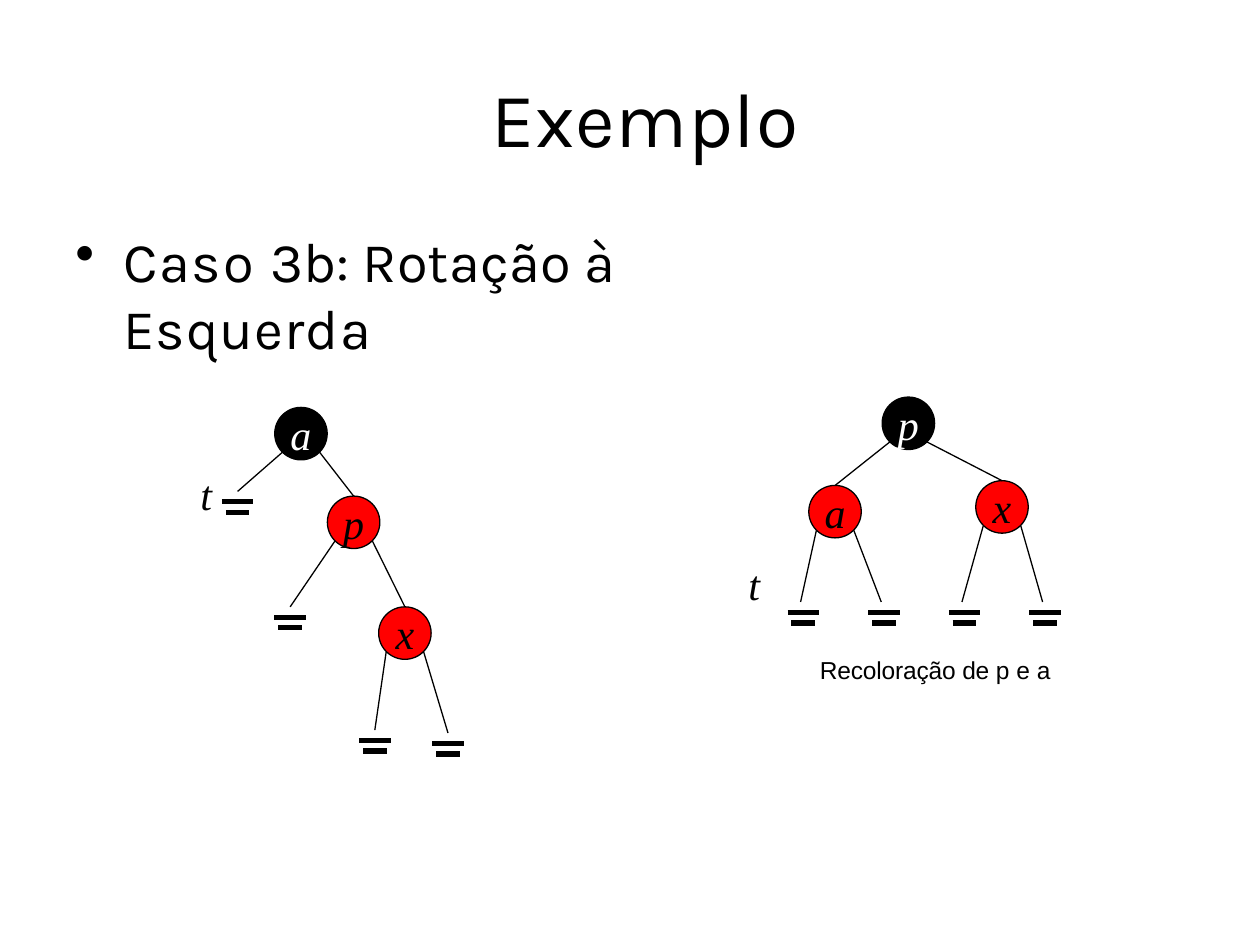
"""Build a slide showing a left rotation in a red-black tree."""
import pptx
import pptx.dml.color
import pptx.enum.shapes
import pptx.enum.text
import pptx.oxml
import pptx.oxml.ns
import pptx.util

Pt = pptx.util.Pt
BLACK, RED, WHITE = "000000", "FF0000", "FFFFFF"
SERIF = "Times New Roman"
RADIUS = 15
EDGE_OFFSET = 10.7
NIL_GAP = 6
NIL_BARS = [(18, 0), (13.5, 6)]

TEXTS = [
    {"at": (280.8, 40.3, 343, 55), "runs": [("Exemplo", 0.4)], "size": 44, "font": "Karla"},
    {"at": (42.5, 129.6, 450.7, 78), "size": 32, "font": "Karla", "bullet": True,
     "runs": [("Caso ", 1), ("3b: ", -0.1), ("Rotação ", 0.1), ("à ", 0.8), ("Esquerda", 0.6)]},
    {"at": (114.5, 267.8, 10, 29), "runs": [("t", 0)], "size": 24, "font": SERIF, "italic": True},
    {"at": (427.7, 319, 10, 29), "runs": [("t", 0)], "size": 24, "font": SERIF, "italic": True},
    {"at": (468.5, 374.4, 150, 18), "runs": [("Recoloração de ", -0.1), ("p e a", 0)],
     "size": 14, "font": "Arial"},
]

TREES = [
    {"nodes": {"a": (172, 247.8, BLACK), "p": (202.1, 298.5, RED), "x": (231.4, 361.8, RED)},
     "nils": {"a left": (135.8, 286.8), "p left": (165.8, 352.8),
              "x left": (214.2, 423.2), "x right": (256, 424.9)},
     "edges": [("a", -1, "a left"), ("a", 1, "p"), ("p", -1, "p left"), ("p", 1, "x"),
               ("x", -1, "x left"), ("x", 1, "x right")],
     "nil_shift": 0},
    {"nodes": {"p": (519.1, 241.9, BLACK), "a": (477.2, 292.4, RED), "x": (572.6, 289.7, RED)},
     "nils": {name: (459 + 46.1 * column, 350) for column, name in
              enumerate(["a left", "a right", "x left", "x right"])},
     "edges": [("p", -1, "a"), ("p", 1, "x"), ("a", -1, "a left"), ("a", 1, "a right"),
               ("x", -1, "x left"), ("x", 1, "x right")],
     "nil_shift": -1.5},
]


def color(value):
    return pptx.dml.color.RGBColor.from_string(value)


def format_run(run, size, font, fill, italic, spacing=0):
    run.font.size = Pt(size)
    run.font.name = font
    run.font.italic = italic
    run.font.color.rgb = color(fill)
    if spacing:
        run._r.get_or_add_rPr().set("spc", str(round(spacing * 100)))


def clear_margins(frame):
    frame.margin_left = frame.margin_right = frame.margin_top = frame.margin_bottom = 0


def add_text(slide, item):
    frame = slide.shapes.add_textbox(*map(Pt, item["at"])).text_frame
    clear_margins(frame)
    frame.word_wrap = True
    paragraph = frame.paragraphs[0]
    if item.get("bullet"):
        properties = paragraph._p.get_or_add_pPr()
        properties.set("marL", str(Pt(28)))
        properties.set("indent", str(Pt(-27.4)))
        properties.append(pptx.oxml.parse_xml(
            f'<a:buChar {pptx.oxml.ns.nsdecls("a")} char="•"/>'))
    for text, spacing in item["runs"]:
        run = paragraph.add_run()
        run.text = text
        format_run(run, item["size"], item["font"], BLACK, item.get("italic", False), spacing)


def add_line(slide, start, end, width):
    line = slide.shapes.add_connector(
        pptx.enum.shapes.MSO_CONNECTOR.STRAIGHT, *map(Pt, (*start, *end)))
    line.line.color.rgb = color(BLACK)
    line.line.width = Pt(width)
    line._element.spPr.append(pptx.oxml.parse_xml(
        f'<a:effectLst {pptx.oxml.ns.nsdecls("a")}/>'))


def add_node(slide, label, x, y, fill):
    shape = slide.shapes.add_shape(
        pptx.enum.shapes.MSO_SHAPE.OVAL,
        Pt(x - RADIUS), Pt(y - RADIUS), Pt(2 * RADIUS), Pt(2 * RADIUS))
    shape.shadow.inherit = False
    shape.fill.solid()
    shape.fill.fore_color.rgb = color(fill)
    shape.line.color.rgb = color(BLACK)
    shape.line.width = Pt(0.75)
    frame = shape.text_frame
    clear_margins(frame)
    frame.word_wrap = False
    frame.vertical_anchor = pptx.enum.text.MSO_ANCHOR.MIDDLE
    frame.text = label
    paragraph = frame.paragraphs[0]
    paragraph.alignment = pptx.enum.text.PP_ALIGN.CENTER
    format_run(paragraph.runs[0], 24, SERIF, WHITE if fill == BLACK else BLACK, True)


def add_tree(slide, tree):
    nodes, nils = tree["nodes"], tree["nils"]
    tops = {name: (x, y - RADIUS) for name, (x, y, fill) in nodes.items()}
    tops.update({name: (x + tree["nil_shift"], y - NIL_GAP) for name, (x, y) in nils.items()})
    for label, node in nodes.items():
        add_node(slide, label, *node)
    for parent, side, child in tree["edges"]:
        x, y, fill = nodes[parent]
        add_line(slide, (x + side * EDGE_OFFSET, y + EDGE_OFFSET), tops[child], 0.75)
    for x, y in nils.values():
        for width, drop in NIL_BARS:
            add_line(slide, (x - width / 2, y + drop), (x + width / 2, y + drop), 3)


def main():
    presentation = pptx.Presentation()
    presentation.slide_width, presentation.slide_height = Pt(720), Pt(540)
    slide = presentation.slides.add_slide(presentation.slide_layouts[6])
    for item in TEXTS:
        add_text(slide, item)
    for tree in TREES:
        add_tree(slide, tree)
    presentation.save("out.pptx")


if __name__ == "__main__":
    main()
